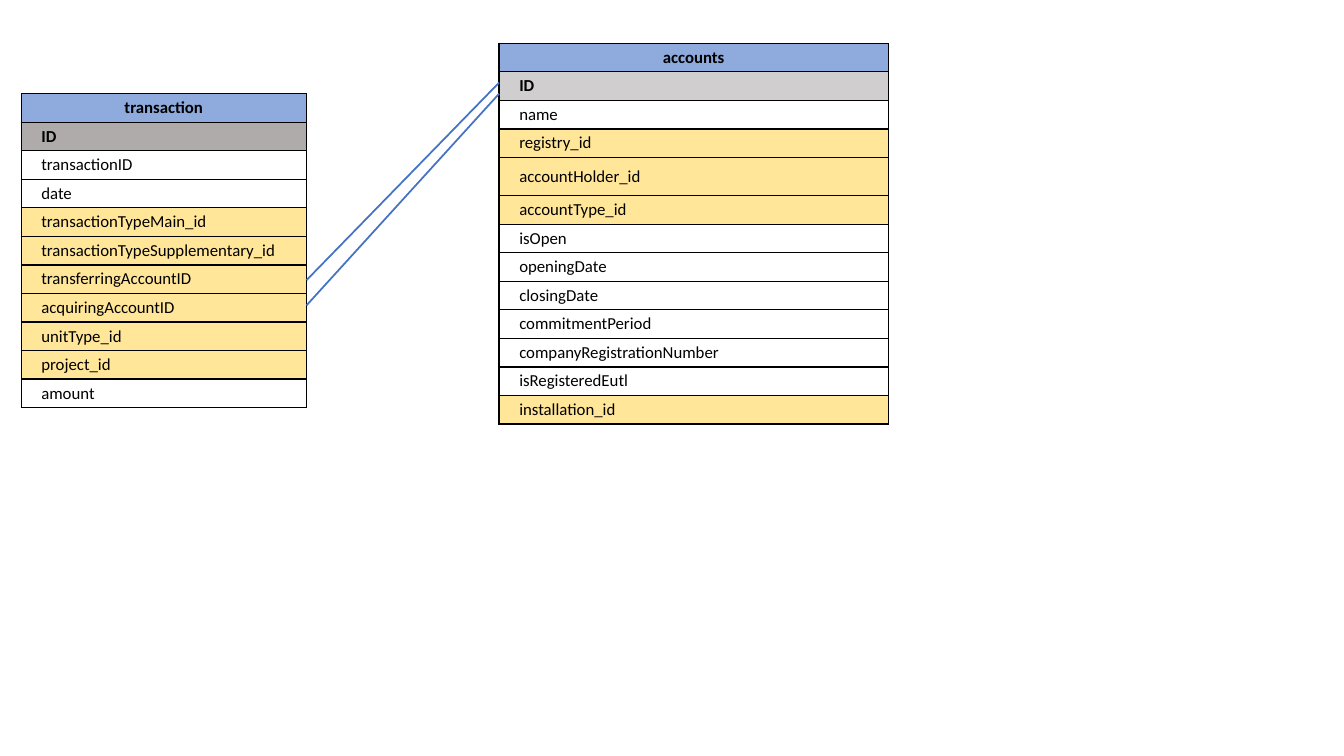
"""Draw the transaction and accounts tables with the links between them."""
from lxml.etree import SubElement as Sub
from pptx import Presentation
from pptx.dml.color import RGBColor as Rgb
from pptx.enum.shapes import MSO_CONNECTOR as Conn
from pptx.enum.text import MSO_ANCHOR as Anchor, PP_ALIGN as Align
from pptx.oxml.ns import qn
from pptx.util import Inches, Pt

COLORS = {
    "head": "8FAADC",
    "dark": "AFABAB",
    "light": "D0CECE",
    "key": "FFE699",
    "plain": "FFFFFF",
    "ink": "000000",
    "link": "4472C4",
}
FONT = "Calibri"
ROW = 0.28
LEFT, RIGHT = 3.04, 4.95

TRADE = [
    "transactionID", "date", "transactionTypeMain_id",
    "transactionTypeSupplementary_id", "transferringAccountID",
    "acquiringAccountID", "unitType_id", "project_id", "amount",
]
ACCOUNT = [
    "name", "registry_id", "accountHolder_id", "accountType_id", "isOpen",
    "openingDate", "closingDate", "commitmentPeriod",
    "companyRegistrationNumber", "isRegisteredEutl", "installation_id",
]
LINKS = [(2.78, 0.82), (3.03, 0.93)]


class Board:
    def __init__(self, slide):
        self.slide = slide
        self.size = Pt(12)

    def color(self, name):
        return Rgb.from_string(COLORS[name])

    def border(self, cell):
        props = cell._tc.get_or_add_tcPr()
        for side in ("a:lnL", "a:lnR", "a:lnT", "a:lnB"):
            line = Sub(props, qn(side), w=str(Pt(1)))
            fill = Sub(line, qn("a:solidFill"))
            Sub(fill, qn("a:srgbClr"), val=COLORS["ink"])

    def cell(self, cell, text, fill, bold, align):
        self.border(cell)
        cell.fill.solid()
        cell.fill.fore_color.rgb = self.color(fill)
        cell.margin_left = cell.margin_right = Inches(0.2)
        cell.margin_top = cell.margin_bottom = Inches(0.04)
        cell.vertical_anchor = Anchor.MIDDLE
        cell.text_frame.text = text
        para = cell.text_frame.paragraphs[0]
        para.alignment = align
        font = para.runs[0].font
        font.name, font.size, font.bold = FONT, self.size, bold
        font.color.rgb = self.color("ink")

    def table(self, left, top, width, title, shade, fields, tall=None):
        names = [title, "ID"] + fields
        frame = self.slide.shapes.add_table(
            len(names), 1, Inches(left), Inches(top),
            Inches(width), Inches(ROW * len(names)))
        grid = frame.table
        grid.horz_banding = False
        for i, name in enumerate(names):
            grid.rows[i].height = Inches(0.38 if name == tall else ROW)
            key = name.endswith(("_id", "AccountID"))
            fill = ("head", shade)[i] if i < 2 else "key" if key else "plain"
            align = Align.LEFT if i else Align.CENTER
            self.cell(grid.cell(i, 0), name, fill, i < 2, align)

    def link(self, start, end):
        line = self.slide.shapes.add_connector(
            Conn.STRAIGHT, Inches(LEFT), Inches(start),
            Inches(RIGHT), Inches(end))
        line.line.color.rgb = self.color("link")
        line.line.width = Pt(1.25)
        Sub(line._element.spPr, qn("a:effectLst"))


def main():
    deck = Presentation()
    deck.slide_width, deck.slide_height = Inches(13.33), Inches(7.5)
    board = Board(deck.slides.add_slide(deck.slide_layouts[6]))
    board.table(0.21, 0.93, 2.83, "transaction", "dark", TRADE)
    board.table(RIGHT, 0.43, 3.86, "accounts", "light", ACCOUNT,
                "accountHolder_id")
    for start, end in LINKS:
        board.link(start, end)
    deck.save("out.pptx")


if __name__ == "__main__":
    main()
